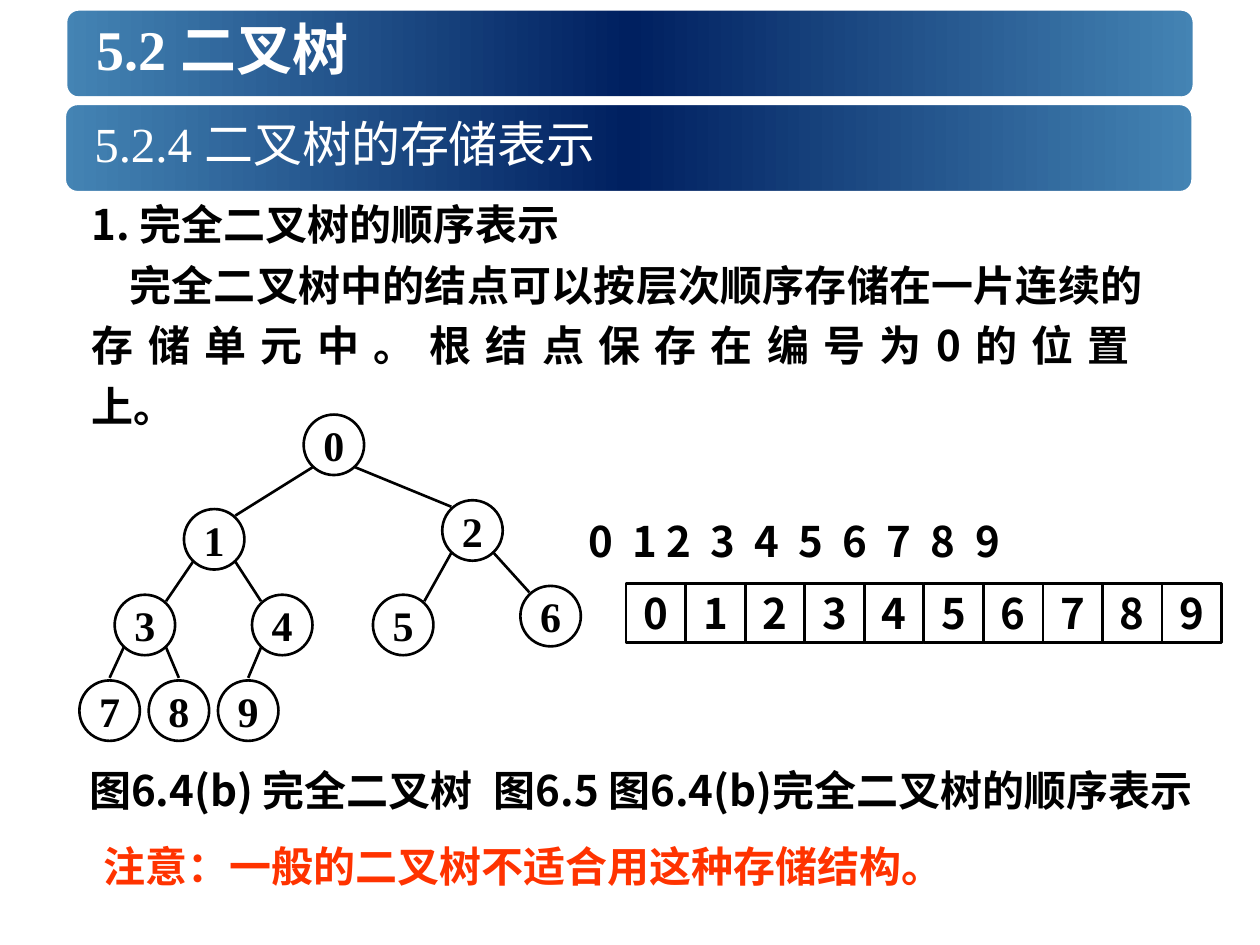
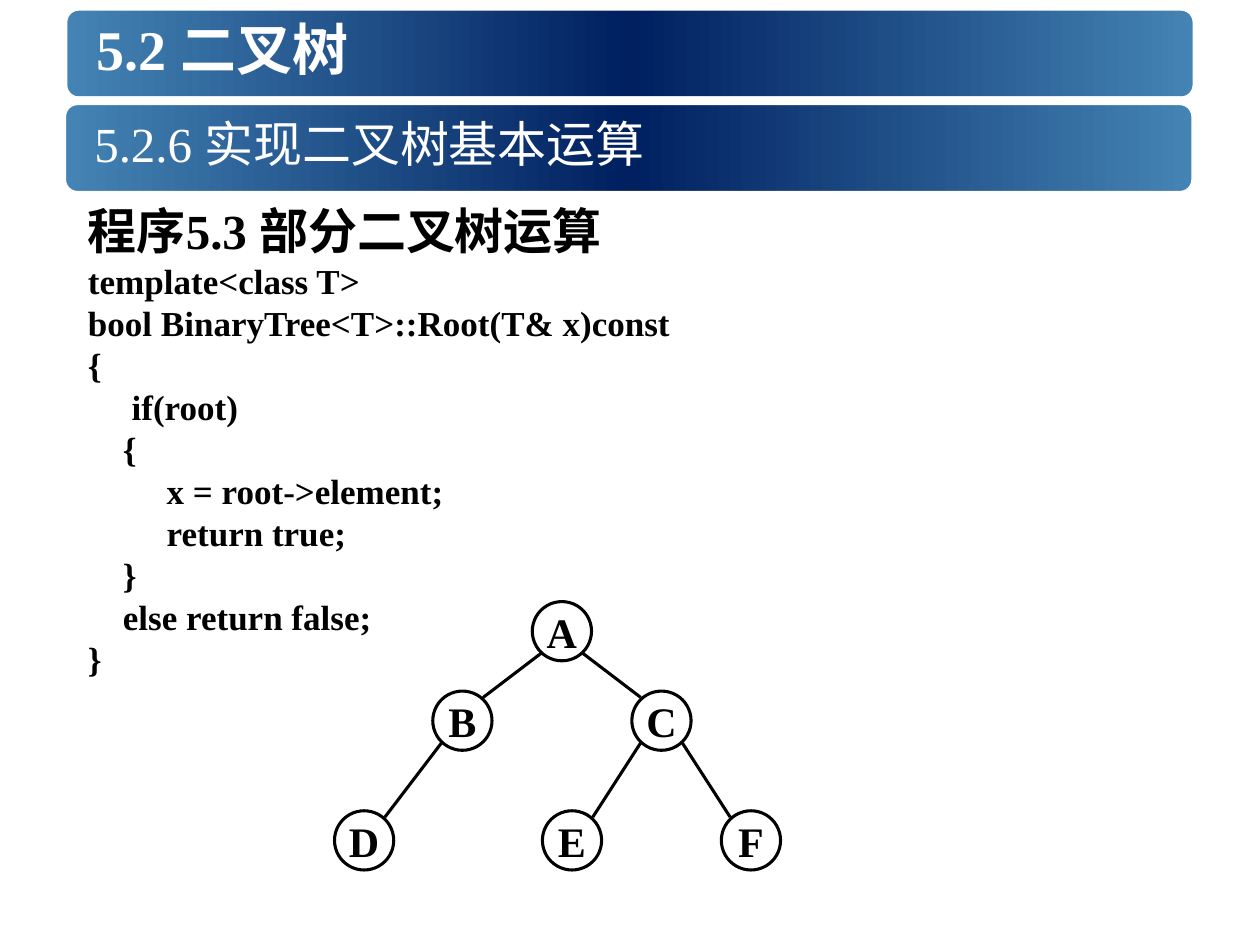
import copy

import lxml.etree
import pptx
import pptx.dml.color
import pptx.enum.shapes
import pptx.enum.text
import pptx.oxml.ns
import pptx.util

Inches, Pt = pptx.util.Inches, pptx.util.Pt
RGBColor = pptx.dml.color.RGBColor
SHAPE = pptx.enum.shapes.MSO_SHAPE
ALIGN = pptx.enum.text.PP_ALIGN
ANCHOR = pptx.enum.text.MSO_ANCHOR
qn = pptx.oxml.ns.qn

STEEL = RGBColor(0x44, 0x84, 0xB4)
NAVY = RGBColor(0x00, 0x20, 0x60)
WHITE = RGBColor(0xFF, 0xFF, 0xFF)
BLACK = RGBColor(0x00, 0x00, 0x00)
ORANGE = RGBColor(0xFF, 0x33, 0x00)
SERIF = "Times New Roman"
SANS = "Noto Sans CJK SC"

CHAPTER = "5.2 二叉树"
STORAGE_SECTION = "5.2.4 二叉树的存储表示"
OPERATIONS_SECTION = "5.2.6 实现二叉树基本运算"

STORAGE_HEADING = "1. 完全二叉树的顺序表示"
# (text, extra letter spacing in points): the middle part fills a whole line
STORAGE_BODY = [
    ("完全二叉树中的结点可以按层次顺序存储在一片连续的", 0),
    ("存储单元中。根结点保存在编号为0的位置", 7.5),
    ("上。", 0),
]
TREE_CAPTION = "图6.4(b) 完全二叉树"
ARRAY_CAPTION = "图6.5 图6.4(b)完全二叉树的顺序表示"
WARNING = "注意：一般的二叉树不适合用这种存储结构。"
ARRAY_VALUES = "0123456789"
ARRAY_INDEXES = ["0", "1 2", "3", "4", "5", "6", "7", "8", "9"]
INDEX_TABS = [0.35] + [0.97 + 0.35 * step for step in range(7)]

PROGRAM_HEADING = "程序5.3 部分二叉树运算"
PROGRAM = """template<class T>
bool BinaryTree<T>::Root(T& x)const
{
     if(root)
    {
         x = root->element;
         return true;
    }
    else return false;
}"""

# Level-order number: (label, centre x, centre y); node n hangs under (n - 1) // 2
NUMBER_TREE = {
    0: ("0", 2.65, 3.53),
    1: ("1", 1.7, 4.28), 2: ("2", 3.75, 4.21),
    3: ("3", 1.15, 4.96), 4: ("4", 2.24, 4.96),
    5: ("5", 3.2, 4.96), 6: ("6", 4.37, 4.89),
    7: ("7", 0.87, 5.64), 8: ("8", 1.42, 5.64), 9: ("9", 1.97, 5.64),
}
LETTER_TREE = {
    0: ("A", 4.46, 5.01),
    1: ("B", 3.67, 5.72), 2: ("C", 5.25, 5.72),
    3: ("D", 2.89, 6.67), 5: ("E", 4.54, 6.67), 6: ("F", 5.96, 6.67),
}


def add_span(para, text, size, color=BLACK, font=SANS, bold=True, spacing=0):
    span = para.add_run()
    span.text = text
    span.font.size = Pt(size)
    span.font.bold = bold
    span.font.color.rgb = color
    span.font.name = font
    properties = span.font._element
    lxml.etree.SubElement(properties, qn("a:ea")).set("typeface", SANS)
    if spacing:
        properties.set("spc", str(int(spacing * 100)))


def add_box(page, left, top, width, height, wrap=True, anchor=ANCHOR.TOP):
    """Add an empty text box and return its text frame."""
    box = page.shapes.add_textbox(*map(Inches, (left, top, width, height)))
    box.text_frame.word_wrap = wrap
    box.text_frame.vertical_anchor = anchor
    return box.text_frame


def add_line_of_text(page, place, text, size=24, wrap=False, anchor=ANCHOR.TOP, **style):
    para = add_box(page, *place, wrap=wrap, anchor=anchor).paragraphs[0]
    add_span(para, text, size, **style)
    return para


def add_band(page, left, top):
    band = page.shapes.add_shape(
        SHAPE.ROUNDED_RECTANGLE, *map(Inches, (left, top, 9, 0.75)))
    band.shadow.inherit = False
    band.line.color.rgb = WHITE
    band.line.width = Pt(5)
    band.fill.gradient()
    band.fill.gradient_angle = 0
    stop_list = band._element.spPr.find(".//" + qn("a:gsLst"))
    stop_list.append(copy.deepcopy(stop_list[0]))
    for stop, share, color in zip(
            band.fill.gradient_stops, (0, 0.5, 1), (STEEL, NAVY, STEEL)):
        stop.position = share
        stop.color.rgb = color


def add_page(deck, section):
    """Add a blank page with the chapter band and the section band."""
    page = deck.slides.add_slide(deck.slide_layouts[6])
    titles = [(0.5, 0.67, 0.05, CHAPTER, 32, True),
              (0.49, 0.65, 0.8, section, 28, False)]
    for band_left, text_left, top, text, size, bold in titles:
        add_band(page, band_left, top)
        add_line_of_text(page, (text_left, top, 8.75, 0.67), text, size, wrap=True,
                         anchor=ANCHOR.MIDDLE, color=WHITE, font=SERIF, bold=bold)
    return page


def add_cell(page, kind, left, top, side, label, font, weight):
    """Add an outlined square or circle with a centred label."""
    cell = page.shapes.add_shape(kind, *map(Inches, (left, top, side, side)))
    cell.shadow.inherit = False
    cell.fill.background()
    cell.line.color.rgb = BLACK
    cell.line.width = Pt(weight)
    cell.text_frame.word_wrap = False
    cell.text_frame.vertical_anchor = ANCHOR.MIDDLE
    para = cell.text_frame.paragraphs[0]
    para.alignment = ALIGN.CENTER
    add_span(para, label, 24, font=font)


def add_edge(page, start, end, weight):
    edge = page.shapes.add_connector(
        pptx.enum.shapes.MSO_CONNECTOR.STRAIGHT, *map(Inches, start + end))
    edge.line.color.rgb = BLACK
    edge.line.width = Pt(weight)
    lxml.etree.SubElement(edge._element.spPr, qn("a:effectLst"))


def add_tree(page, nodes, diameter, weight):
    """Draw nodes, with edges between the diagonal points of the circles."""
    reach = diameter * 0.35
    for label, x, y in nodes.values():
        add_cell(page, SHAPE.OVAL, x - diameter / 2, y - diameter / 2,
                 diameter, label, SERIF, weight)
    for number, (label, x, y) in nodes.items():
        if number == 0:
            continue
        _, parent_x, parent_y = nodes[(number - 1) // 2]
        side = 1 if x > parent_x else -1
        start = (parent_x + side * reach, parent_y + reach + 0.01)
        if abs(x - parent_x) < diameter:
            end = (x, y - diameter / 2 - 0.02)
        else:
            end = (x - side * reach, y - reach - 0.02)
        add_edge(page, start, end, weight)


def add_storage_page(deck):
    page = add_page(deck, STORAGE_SECTION)
    frame = add_box(page, 0.63, 1.45, 8.54, 2.02)
    heading, body = frame.paragraphs[0], frame.add_paragraph()
    for para in (heading, body):
        para.alignment = ALIGN.JUSTIFY
        para.line_spacing = 1.2
    add_span(heading, STORAGE_HEADING, 24)
    body._p.get_or_add_pPr().set("indent", str(Inches(0.3)))
    for text, spacing in STORAGE_BODY:
        add_span(body, text, 24, spacing=spacing)

    add_line_of_text(page, (0.72, 6.62, 8.12, 0.5), WARNING, wrap=True, color=ORANGE)

    side = 0.4725
    for column, value in enumerate(ARRAY_VALUES):
        add_cell(page, SHAPE.RECTANGLE, 4.97 + column * side, 4.63,
                 side, value, SANS, 1.5)
    frame = add_box(page, 4.57, 4.04, 5.4, 0.5)
    para = frame.paragraphs[0]
    tab_list = lxml.etree.SubElement(para._p.get_or_add_pPr(), qn("a:tabLst"))
    for position in INDEX_TABS:
        lxml.etree.SubElement(tab_list, qn("a:tab"),
                              pos=str(Inches(position)), algn="l")
    add_span(para, "\t".join(ARRAY_INDEXES), 24)

    add_line_of_text(page, (3.82, 6.02, 6.1, 0.5), ARRAY_CAPTION)
    add_tree(page, NUMBER_TREE, 0.48, 1.5)
    add_line_of_text(page, (0.61, 6.02, 3.76, 0.5), TREE_CAPTION)


def add_operations_page(deck):
    page = add_page(deck, OPERATIONS_SECTION)
    frame = add_box(page, 0.6, 1.54, 7.67, 3.9)
    add_span(frame.paragraphs[0], PROGRAM_HEADING, 28, font=SERIF)
    for line in PROGRAM.splitlines():
        add_span(frame.add_paragraph(), line, 20, font=SERIF)
    add_tree(page, LETTER_TREE, 0.47, 1.75)


def main():
    deck = pptx.Presentation()
    deck.slide_width, deck.slide_height = Inches(10), Inches(7.5)
    add_storage_page(deck)
    add_operations_page(deck)
    deck.save("out.pptx")


if __name__ == "__main__":
    main()
